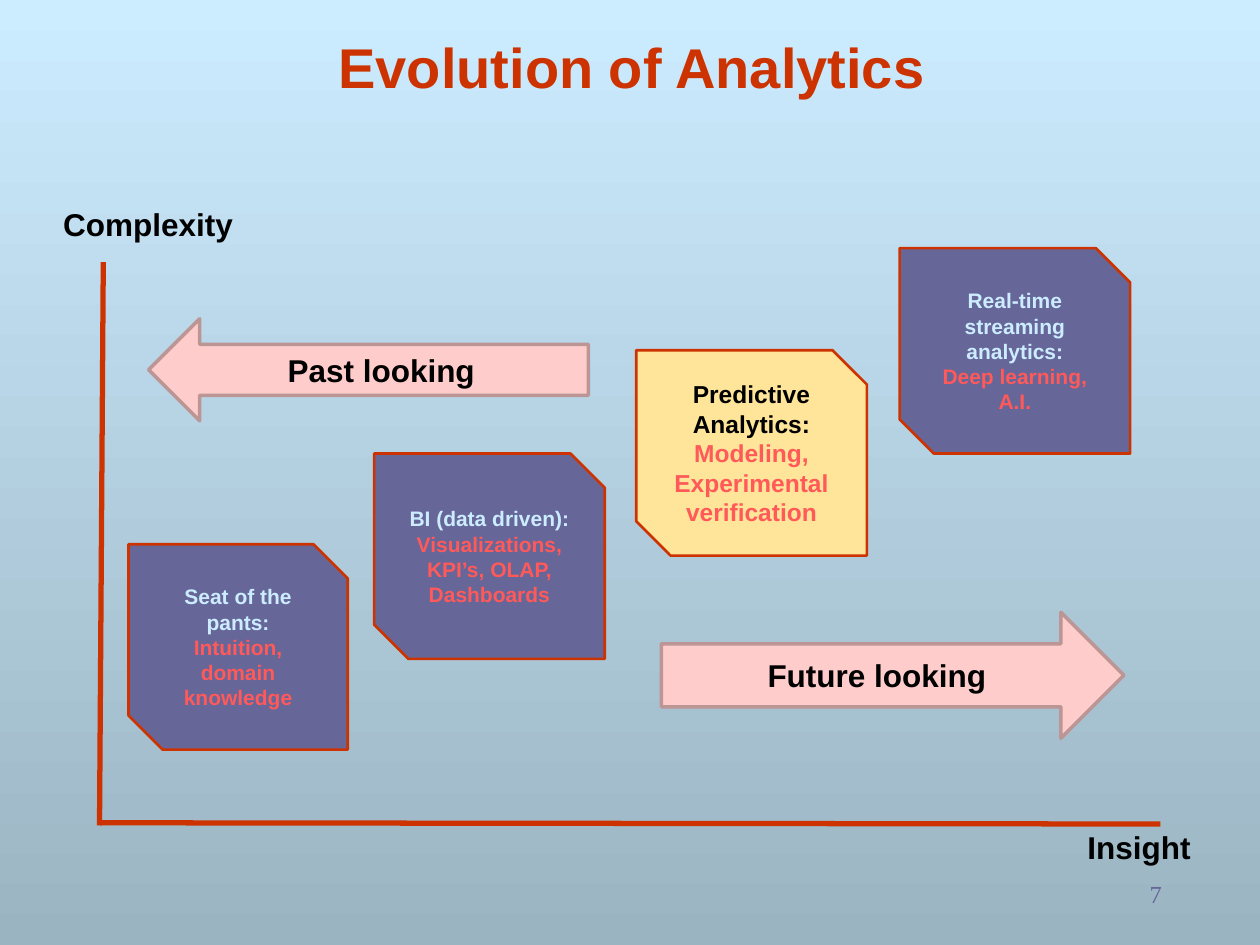
from lxml.etree import SubElement
from pptx import Presentation
from pptx.dml.color import RGBColor
from pptx.enum.shapes import MSO_CONNECTOR, MSO_SHAPE
from pptx.enum.text import MSO_ANCHOR, MSO_AUTO_SIZE, PP_ALIGN
from pptx.oxml.ns import qn
from pptx.util import Inches, Pt

COLORS = {
    "sky": "CCECFF", "haze": "9BB4C2", "rust": "CC3300", "violet": "666699",
    "sand": "FFE599", "coral": "FF5959", "pink": "FFCCCC", "rose": "BC9595",
    "black": "000000",
}
COLUMNS, ROWS = 100, 75


def color(name):
    return RGBColor.from_string(COLORS[name])


class AnalyticsPage:
    """Holds the style and the current slide; lengths are grid columns and rows."""

    def __init__(self, deck):
        self.column = deck.slide_width / COLUMNS
        self.row = deck.slide_height / ROWS
        self.page = deck.slides.add_slide(deck.slide_layouts[5])
        self.shapes = self.page.shapes

    def on_grid(self, *lengths):
        """Turn alternating columns and rows into slide lengths."""
        return [round(length * (self.row if index % 2 else self.column))
                for index, length in enumerate(lengths)]

    def background(self, top, bottom):
        fill = self.page.background.fill
        fill.gradient()
        fill.gradient_angle = 270
        for stop, position, name in zip(fill.gradient_stops, (0, 1), (top, bottom)):
            stop.position = position
            stop.color.rgb = color(name)

    def fill_text(self, box, lines, size, inset=0.1, anchor=MSO_ANCHOR.MIDDLE,
                  align=PP_ALIGN.CENTER, font="Arial", bold=True):
        """Fill a shape with (text, color) lines, one paragraph each."""
        frame = box.text_frame
        frame.word_wrap = True
        frame.auto_size = MSO_AUTO_SIZE.NONE
        frame.vertical_anchor = anchor
        frame.margin_left = frame.margin_right = Inches(0.1)
        frame.margin_top = frame.margin_bottom = Inches(inset)
        frame.text = "\n".join(text for text, _ in lines)
        for para, (_, name) in zip(frame.paragraphs, lines):
            para.alignment = align
            for span in para.runs:
                span.font.name = font
                span.font.size = Pt(size)
                span.font.bold = bold
                span.font.color.rgb = color(name)

    def title(self, text, *place):
        box = self.shapes.title
        box.left, box.top, box.width, box.height = self.on_grid(*place)
        self.fill_text(box, [(text, "rust")], 32, anchor=MSO_ANCHOR.BOTTOM)

    def label(self, text, *place, size=18, name="black", **style):
        box = self.shapes.add_textbox(*self.on_grid(*place))
        self.fill_text(box, [(text, name)], size, anchor=MSO_ANCHOR.TOP, **style)
        return box

    def block(self, kind, place, fill, line, weight):
        box = self.shapes.add_shape(kind, *self.on_grid(*place))
        box.shadow.inherit = False
        box.fill.solid()
        box.fill.fore_color.rgb = color(fill)
        box.line.color.rgb = color(line)
        box.line.width = Pt(weight)
        return box

    def card(self, heading, detail, left, top, width=18.3, fill="violet",
             name="sky", size=12):
        box = self.block(MSO_SHAPE.SNIP_2_DIAG_RECTANGLE,
                         (left, top, width, 16.3), fill, "rust", 1.5)
        self.fill_text(box, [(heading, name), (detail, "coral")], size)

    def arrow(self, kind, text, *place):
        box = self.block(kind, place, "pink", "rose", 2)
        self.fill_text(box, [(text, "black")], 18, inset=0.05)

    def axis(self, start, end):
        line = self.shapes.add_connector(
            MSO_CONNECTOR.STRAIGHT, *self.on_grid(*start, *end))
        line.line.color.rgb = color("rust")
        line.line.width = Pt(3)
        SubElement(line._element.spPr, qn("a:effectLst"))


def main():
    deck = Presentation()
    deck.slide_width, deck.slide_height = Inches(10), Inches(7.5)
    page = AnalyticsPage(deck)
    page.background("sky", "haze")

    # Title and page number
    page.title("Evolution of Analytics", 6, 2.2, 88.3, 6.7)
    number = page.label("7", 66.3, 69.5, 26.9, 4, size=14, name="violet", inset=0.05,
                        align=PP_ALIGN.RIGHT, font="Times New Roman", bold=False)
    number.text_frame.paragraphs[0].line_spacing = 0.9

    # Stages, rising from lower left to upper right
    page.card("Seat of the pants:", "Intuition, domain knowledge",
              10.2, 43.2, width=17.4)
    page.card("BI (data driven):", "Visualizations, KPI’s, OLAP, Dashboards",
              29.7, 36)
    page.card("Predictive Analytics:", "Modeling, Experimental verification",
              50.5, 27.8, fill="sand", name="black", size=14)
    page.card("Real-time streaming analytics:", "Deep learning, A.I.",
              71.4, 19.7)

    # Axes and their names
    page.axis((8.2, 20.8), (7.9, 65.5))
    page.axis((92.1, 65.4), (7.9, 65.3))
    page.label("Complexity", 3.9, 15.3, 15.7, 5.4)
    page.label("Insight", 85, 64.7, 10.8, 3.9)

    # Direction arrows
    page.arrow(MSO_SHAPE.RIGHT_ARROW, "Future looking", 52.5, 48.6, 36.7, 10)
    page.arrow(MSO_SHAPE.LEFT_ARROW, "Past looking", 11.8, 25.3, 34.9, 8.1)

    deck.save("out.pptx")


if __name__ == "__main__":
    main()
